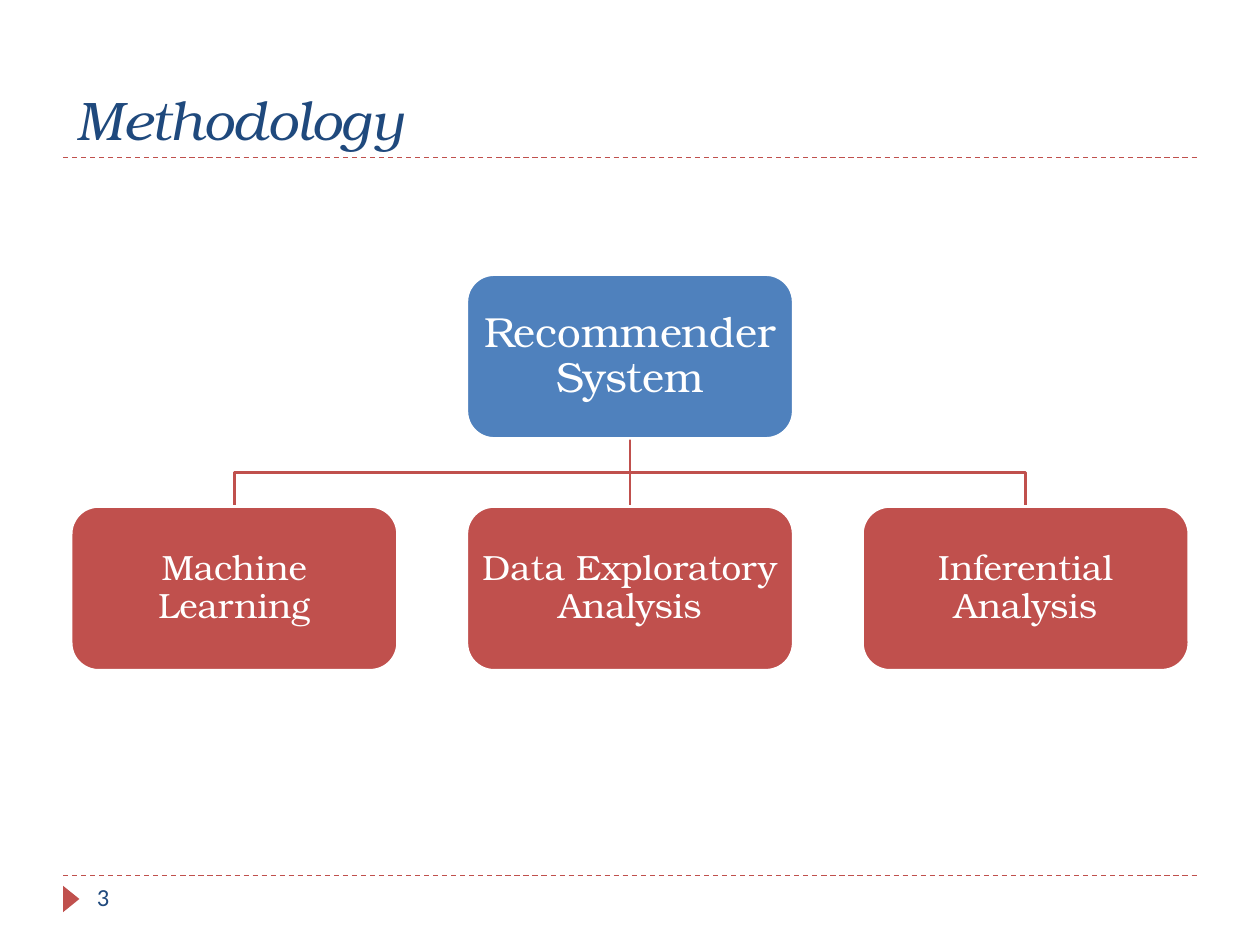
import pptx
import pptx.dml.color
import pptx.enum.dml
import pptx.enum.shapes
import pptx.enum.text
import pptx.oxml
import pptx.util

Inches = pptx.util.Inches
Pt = pptx.util.Pt
MSO_SHAPE = pptx.enum.shapes.MSO_SHAPE
ANCHOR = pptx.enum.text.MSO_ANCHOR
ALIGN = pptx.enum.text.PP_ALIGN

COLORS = {"red": "C0504D", "blue": "4F81BD", "navy": "1F497D", "white": "FFFFFF"}
SERIF = "TeX Gyre Bonum"
SLIDE_WIDTH, SLIDE_HEIGHT = 10, 7.5
MARGIN = 0.05 * SLIDE_WIDTH
TITLE_RULE, FOOTER_RULE = 1.25, 6.95

# Chart grid: three columns around the slide's centre, two rows
BOX_WIDTH, BOX_HEIGHT = 2.59, 1.3
COLUMN_PITCH, ROW_PITCH = 3.14, 1.84
TOP_ROW = 2.18
METHODS = ["Machine Learning", "Data Exploratory Analysis", "Inferential Analysis"]


def color(name):
    return pptx.dml.color.RGBColor.from_string(COLORS[name])


def column_center(column):
    return SLIDE_WIDTH / 2 + (column - 1) * COLUMN_PITCH


def row_top(row):
    return TOP_ROW + row * ROW_PITCH


def set_text(shape, text, size, ink, font=SERIF, italic=False, align=ALIGN.LEFT,
             anchor=ANCHOR.TOP, inset=(0.1, 0.05), spacing=1.0):
    frame = shape.text_frame
    frame.word_wrap = True
    frame.auto_size = pptx.enum.text.MSO_AUTO_SIZE.NONE
    frame.vertical_anchor = anchor
    frame.margin_left = frame.margin_right = Inches(inset[0])
    frame.margin_top = frame.margin_bottom = Inches(inset[1])
    paragraph = frame.paragraphs[0]
    paragraph.alignment = align
    paragraph.line_spacing = spacing
    run = paragraph.add_run()
    run.text = text
    run.font.name = font
    run.font.size = Pt(size)
    run.font.italic = italic
    run.font.color.rgb = color(ink)


def add_line(slide, start, end, width, dashed=False):
    line = slide.shapes.add_connector(
        pptx.enum.shapes.MSO_CONNECTOR.STRAIGHT,
        *(Inches(length) for length in (*start, *end)))
    line.line.color.rgb = color("red")
    line.line.width = Pt(width)
    if dashed:
        line.line.dash_style = pptx.enum.dml.MSO_LINE.DASH
    properties = line._element.spPr
    properties.append(properties.makeelement(pptx.oxml.ns.qn("a:effectLst"), {}))
    return line


def add_branch(slide, column):
    """Draw the bent line from the root box to an outer column's box."""
    root, child = column_center(1), column_center(column)
    top, bottom = row_top(0) + BOX_HEIGHT, row_top(1)
    middle = (top + bottom) / 2
    builder = slide.shapes.build_freeform(Inches(root), Inches(top), scale=1.0)
    corners = [(root, middle), (child, middle), (child, bottom)]
    builder.add_line_segments([(Inches(x), Inches(y)) for x, y in corners], close=False)
    branch = builder.convert_to_shape()
    branch.shadow.inherit = False
    branch.fill.background()
    branch.line.color.rgb = color("red")
    branch.line.width = Pt(1.5)


def add_box(slide, text, column, row, fill, size):
    box = slide.shapes.add_shape(
        MSO_SHAPE.ROUNDED_RECTANGLE,
        Inches(column_center(column) - BOX_WIDTH / 2), Inches(row_top(row)),
        Inches(BOX_WIDTH), Inches(BOX_HEIGHT))
    box.shadow.inherit = False
    box.fill.solid()
    box.fill.fore_color.rgb = color(fill)
    box.line.color.rgb = color("white")
    box.line.width = Pt(1.5)
    set_text(box, text, size, "white", align=ALIGN.CENTER, anchor=ANCHOR.MIDDLE,
             inset=(0.02, 0.02), spacing=0.9)
    return box


def add_frame(slide, number):
    """Add the dashed rules, the footer marker and the page number."""
    for y in (FOOTER_RULE, TITLE_RULE):
        add_line(slide, (MARGIN, y), (SLIDE_WIDTH - MARGIN, y), 0.75, dashed=True)
    marker = slide.shapes.add_shape(
        MSO_SHAPE.ISOSCELES_TRIANGLE,
        Inches(0.46), Inches(7.07), Inches(0.21), Inches(0.13))
    marker.rotation = 90
    marker.shadow.inherit = False
    marker.fill.solid()
    marker.fill.fore_color.rgb = color("red")
    marker.line.fill.background()
    page = slide.shapes.add_textbox(
        Inches(0.67), Inches(FOOTER_RULE), Inches(2.17), Inches(0.4))
    set_text(page, number, 14, "navy", font="Calibri")


def add_title(slide, text):
    title = slide.shapes.title
    title.left, title.top = Inches(0.51), Inches(0.17)
    title.width, title.height = Inches(9), Inches(1.08)
    set_text(title, text, 31, "navy", italic=True, anchor=ANCHOR.BOTTOM)


def add_hierarchy(slide):
    for column in (2, 0):
        add_branch(slide, column)
    center = column_center(1)
    stem = add_line(slide, (center, row_top(0) + BOX_HEIGHT), (center, row_top(1)), 1.5)
    root = add_box(slide, "Recommender System", 1, 0, "blue", 24)
    children = [add_box(slide, method, column, 1, "red", 20)
                for column, method in enumerate(METHODS)]
    stem.begin_connect(root, 2)
    stem.end_connect(children[1], 0)


def main():
    presentation = pptx.Presentation()
    presentation.slide_width = Inches(SLIDE_WIDTH)
    presentation.slide_height = Inches(SLIDE_HEIGHT)
    slide = presentation.slides.add_slide(presentation.slide_layouts[5])
    add_frame(slide, "3")
    add_title(slide, "Methodology")
    add_hierarchy(slide)
    presentation.save("out.pptx")


if __name__ == "__main__":
    main()
